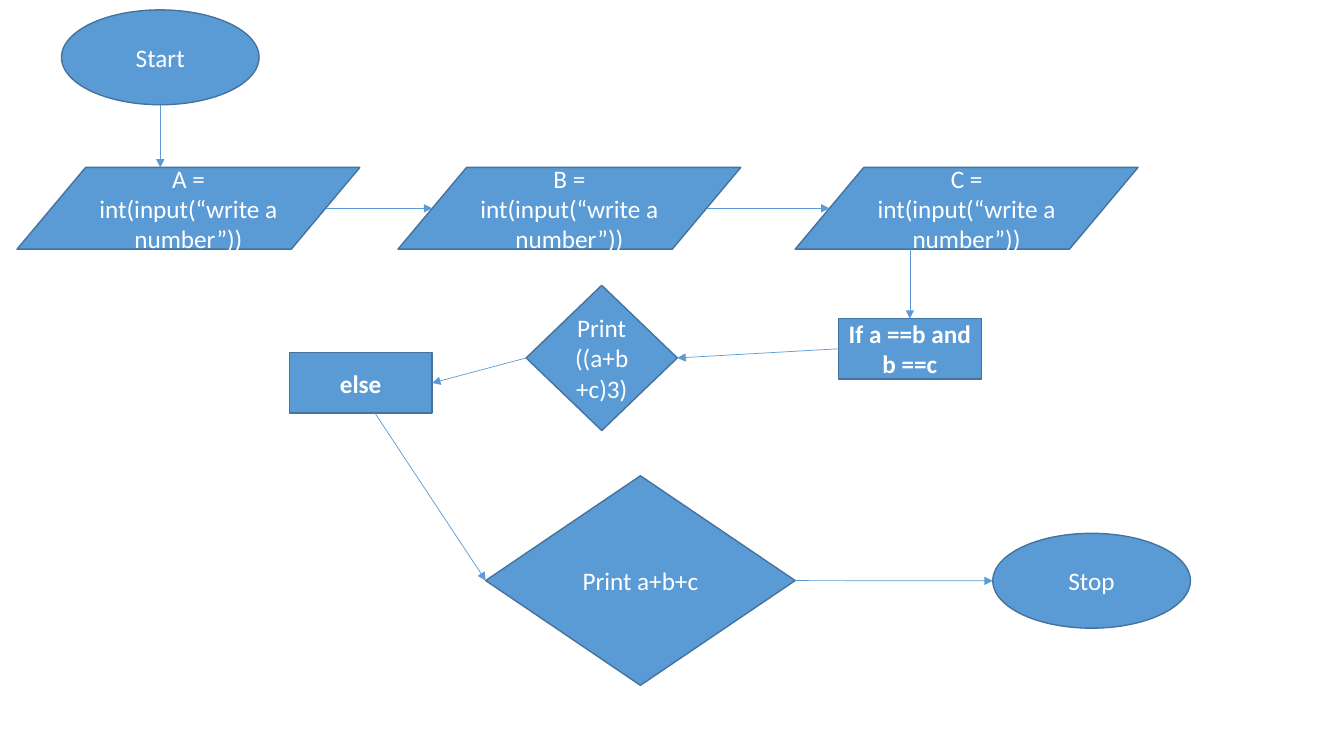
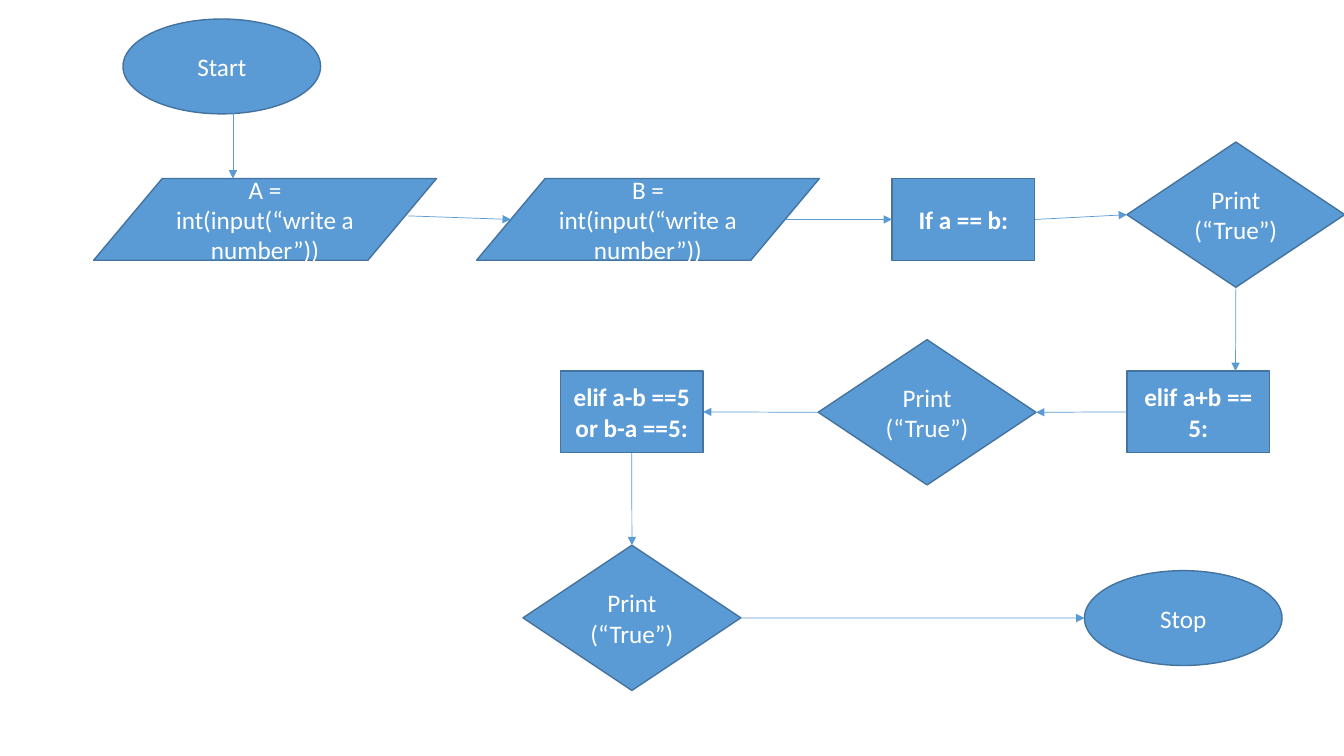
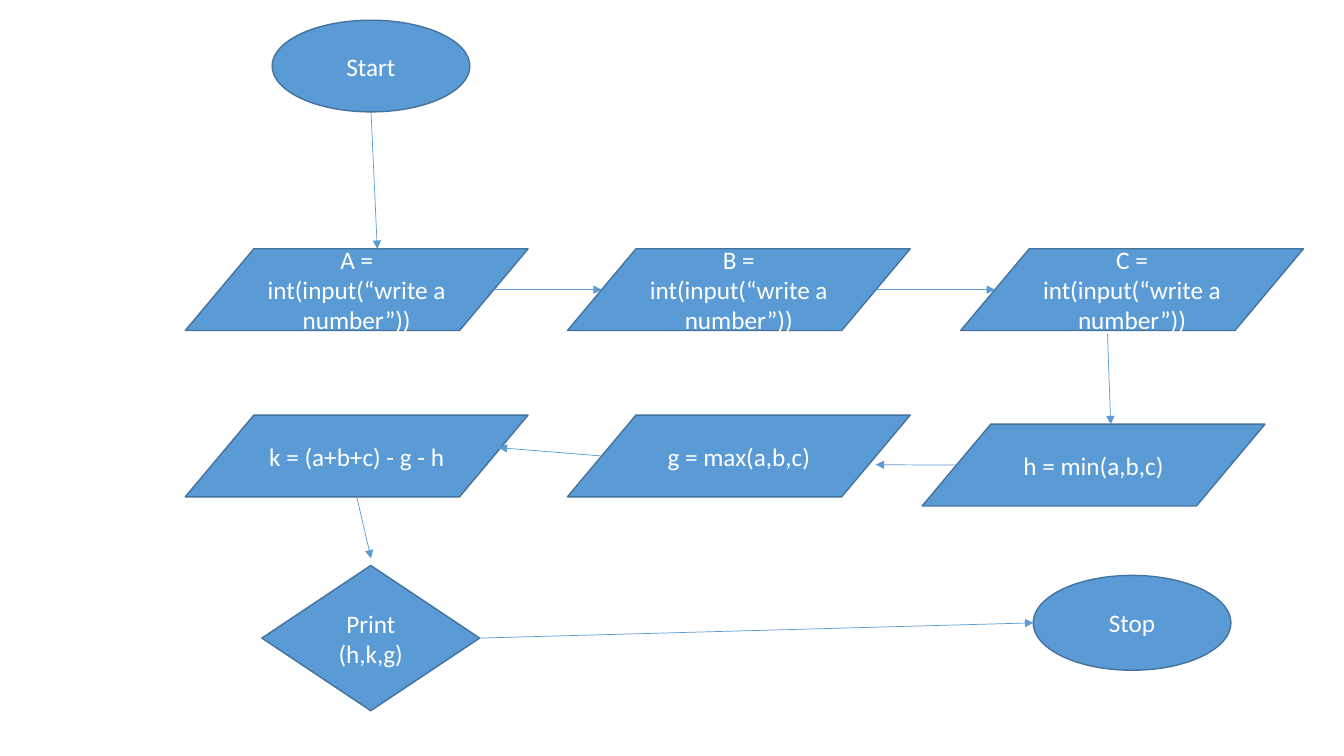
from lxml import etree
from pptx import Presentation
from pptx.dml.color import RGBColor
from pptx.enum.shapes import MSO_CONNECTOR, MSO_SHAPE
from pptx.enum.text import MSO_ANCHOR, PP_ALIGN
from pptx.oxml.ns import qn
from pptx.util import Cm, Pt

# Shared style
BLUE = RGBColor(0x5B, 0x9B, 0xD5)
DARK_BLUE = RGBColor(0x43, 0x73, 0x9E)
WHITE = RGBColor(0xFF, 0xFF, 0xFF)
FONT = "Calibri"

# Arrow sites, as fractions of a shape's width and height
LEFT, RIGHT, TOP, BOTTOM = (0, 0.5), (1, 0.5), (0.5, 0), (0.5, 1)
SLANT_LEFT, SLANT_RIGHT = (0.1, 0.5), (0.9, 0.5)


def at(sp, site):
    """Return the point of a shape at the given site, in centimetres."""
    return (sp.left.cm + site[0] * sp.width.cm,
            sp.top.cm + site[1] * sp.height.cm)


class Flowchart:
    """Draws flowchart elements on the current slide; lengths are in cm."""

    def __init__(self, prs):
        self.prs = prs
        self.s = None

    def new_slide(self):
        self.s = self.prs.slides.add_slide(self.prs.slide_layouts[6])

    def node(self, kind, text, x, y, w, h, bold=False):
        sp = self.s.shapes.add_shape(kind, Cm(x), Cm(y), Cm(w), Cm(h))
        sp.shadow.inherit = False
        sp.fill.solid()
        sp.fill.fore_color.rgb = BLUE
        sp.line.color.rgb = DARK_BLUE
        sp.line.width = Pt(1)
        tf = sp.text_frame
        tf.word_wrap = True
        tf.vertical_anchor = MSO_ANCHOR.MIDDLE
        p = tf.paragraphs[0]
        p.text = text
        p.alignment = PP_ALIGN.CENTER
        p.font.name = FONT
        p.font.size = Pt(18)
        p.font.bold = bold
        p.font.color.rgb = WHITE
        return sp

    def terminal(self, text, x, y, h=2.39):
        return self.node(MSO_SHAPE.OVAL, text, x, y, 4.98, h)

    def data(self, text, x, y):
        return self.node(MSO_SHAPE.FLOWCHART_DATA, text, x, y, 8.64, 2.06)

    def read_number(self, name, x, y):
        return self.data(f"{name} = int(input(“write a number”))", x, y)

    def condition(self, text, x, y, h=2.06):
        return self.node(MSO_SHAPE.RECTANGLE, text, x, y, 3.6, h, bold=True)

    def output(self, text, x, y, w=5.49, h=3.66):
        return self.node(MSO_SHAPE.DIAMOND, text, x, y, w, h)

    def arrow(self, start, end):
        line = self.s.shapes.add_connector(
            MSO_CONNECTOR.STRAIGHT, *(Cm(v) for v in (*start, *end)))
        line.line.color.rgb = BLUE
        line.line.width = Pt(0.5)
        etree.SubElement(line.line._get_or_add_ln(), qn("a:tailEnd"),
                         type="triangle")
        etree.SubElement(line._element.spPr, qn("a:effectLst"))

    def link(self, source, source_site, target, target_site):
        self.arrow(at(source, source_site), at(target, target_site))


prs = Presentation()
prs.slide_width, prs.slide_height = Cm(33.87), Cm(19.05)
chart = Flowchart(prs)

# Slide 1: sum of three numbers, divided when all are equal
chart.new_slide()
start = chart.terminal("Start", 1.55, 0.25)
stop = chart.terminal("Stop", 25.02, 13.44)
a, b, c = (chart.read_number(name, x, 4.22)
           for name, x in (("A", 0.43), ("B", 10.03), ("C", 20.04)))
if_equal = chart.condition("If a ==b and b ==c", 21.13, 8.03, 1.52)
print_equal = chart.output("Print ((a+b+c)3)", 13.26, 7.19, 3.81)
otherwise = chart.condition("else", 7.29, 8.89, 1.52)
print_sum = chart.output("Print a+b+c", 12.24, 11.99, 7.8, 5.28)

chart.arrow(at(start, BOTTOM), (4.04, 4.22))
chart.link(a, SLANT_RIGHT, b, SLANT_LEFT)
chart.link(b, SLANT_RIGHT, c, SLANT_LEFT)
chart.arrow((22.93, 6.28), at(if_equal, TOP))
chart.link(if_equal, LEFT, print_equal, RIGHT)
chart.link(print_equal, LEFT, otherwise, RIGHT)
chart.link(otherwise, (0.6, 1), print_sum, LEFT)
chart.link(print_sum, RIGHT, stop, LEFT)

# Slide 2: equality, sum and difference of two numbers
chart.new_slide()
start = chart.terminal("Start", 3.1, 0.48)
stop = chart.terminal("Stop", 27.33, 14.38)
a, b = (chart.read_number(name, x, 4.5)
        for name, x in (("A", 2.36), ("B", 12.01)))
if_equal = chart.condition("If a == b:", 22.48, 4.5)
if_sum = chart.condition("elif a+b == 5:", 28.4, 9.35)
if_difference = chart.condition("elif a-b ==5 or b-a ==5:", 14.12, 9.35)
print_equal, print_sum, print_difference = (
    chart.output("Print (“True”)", x, y)
    for x, y in ((28.4, 3.58), (20.62, 8.56), (13.18, 13.74)))

chart.arrow((5.87, 2.64), (5.87, 4.5))
chart.arrow((10.29, 5.44), at(b, SLANT_LEFT))
chart.link(b, SLANT_RIGHT, if_equal, LEFT)
chart.link(if_equal, RIGHT, print_equal, LEFT)
chart.link(print_equal, BOTTOM, if_sum, (0.76, 0))
chart.link(if_sum, LEFT, print_sum, RIGHT)
chart.link(print_sum, LEFT, if_difference, RIGHT)
chart.link(if_difference, BOTTOM, print_difference, TOP)
chart.link(print_difference, RIGHT, stop, LEFT)

# Slide 3: three numbers in ascending order
chart.new_slide()
start = chart.terminal("Start", 6.86, 0.51, 2.31)
stop = chart.terminal("Stop", 26.04, 14.5)
a, b, c = (chart.read_number(name, x, 6.27)
           for name, x in (("A", 4.67), ("B", 14.3), ("C", 24.21)))
smallest = chart.data("h = min(a,b,c)", 23.24, 10.69)
largest = chart.data("g = max(a,b,c)", 14.3, 10.46)
middle = chart.data("k = (a+b+c) - g - h", 4.67, 10.46)
print_sorted = chart.output("Print (h,k,g)", 6.6, 14.25)

chart.link(start, BOTTOM, a, (0.56, 0))
chart.link(a, SLANT_RIGHT, b, SLANT_LEFT)
chart.link(b, SLANT_RIGHT, c, SLANT_LEFT)
chart.arrow((27.91, 8.41), at(smallest, (0.55, 0)))
chart.arrow(at(smallest, SLANT_LEFT), (22.07, 11.71))
chart.arrow(at(largest, SLANT_LEFT), (12.57, 11.28))
chart.arrow(at(middle, BOTTOM), (9.35, 14.07))
chart.link(print_sorted, RIGHT, stop, LEFT)

prs.save("out.pptx")
